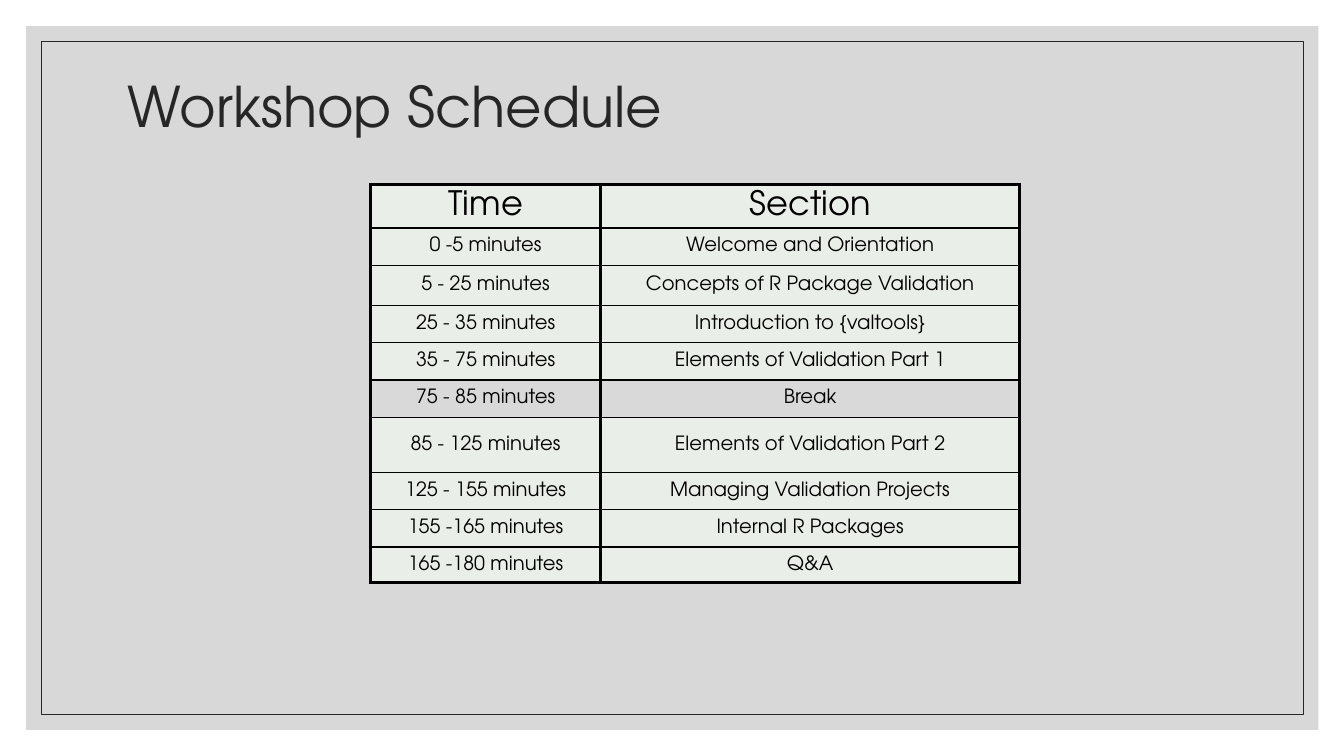
from lxml.etree import SubElement
from pptx import Presentation
from pptx.dml.color import RGBColor
from pptx.enum.shapes import MSO_SHAPE
from pptx.enum.text import MSO_ANCHOR, PP_ALIGN
from pptx.oxml.ns import qn
from pptx.util import Pt

COLORS = {
    "panel": "BFBFBF",
    "ink": "262626",
    "black": "000000",
    "row": "EAEEE8",
    "break": "D9D9D9",
}
FONT = "TeX Gyre Adventor"
THICK, THIN = 2.25, 1

SCHEDULE = [
    ("Time", "Section", 31),
    ("0 -5 minutes", "Welcome and Orientation", 26.6),
    ("5 - 25 minutes", "Concepts of R Package Validation", 28.8),
    ("25 - 35 minutes", "Introduction to {valtools}", 26.6),
    ("35 - 75 minutes", "Elements of Validation Part 1", 26.6),
    ("75 - 85 minutes", "Break", 26.6),
    ("85 - 125 minutes", "Elements of Validation Part 2", 39.6),
    ("125 - 155 minutes", "Managing Validation Projects", 26.6),
    ("155 -165 minutes", "Internal R Packages", 26.6),
    ("165 -180 minutes", "Q&A", 25.2),
]


def assign(target, values):
    for name, value in values.items():
        setattr(target, name, value)


def rgb(color):
    return RGBColor.from_string(COLORS[color])


class SlideBuilder:
    def __init__(self, page):
        self.page = page

    def text(self, frame, words, size, color, align, spacing=1.0):
        para = frame.paragraphs[0]
        assign(para, {"alignment": align, "line_spacing": spacing})
        span = para.add_run()
        span.text = words
        assign(span.font, {"name": FONT, "size": Pt(size), "bold": False})
        span.font.color.rgb = rgb(color)

    def rectangle(self, bounds, fill=None, opacity=100, line=None, width=0.5):
        box = self.page.shapes.add_shape(MSO_SHAPE.RECTANGLE, *map(Pt, bounds))
        box.shadow.inherit = False
        if fill:
            box.fill.solid()
            box.fill.fore_color.rgb = rgb(fill)
            color = box._element.spPr.find(qn("a:solidFill"))[0]
            SubElement(color, qn("a:alpha"), val=str(opacity * 1000))
        else:
            box.fill.background()
        if line:
            box.line.color.rgb = rgb(line)
            box.line.width = Pt(width)
        else:
            box.line.fill.background()

    def title(self, words, bounds):
        title = self.page.shapes.title
        self.page.shapes._spTree.append(title._element)
        assign(title, dict(zip(("left", "top", "width", "height"), map(Pt, bounds))))
        title.text_frame.vertical_anchor = MSO_ANCHOR.MIDDLE
        self.text(title.text_frame, words, 40, "ink", PP_ALIGN.LEFT, 0.9)

    def borders(self, cell, widths):
        properties = cell._tc.get_or_add_tcPr()
        for side, width in widths.items():
            line = SubElement(properties, qn(f"a:ln{side}"), w=str(Pt(width)))
            fill = SubElement(line, qn("a:solidFill"))
            SubElement(fill, qn("a:srgbClr"), val=COLORS["black"])

    def cell(self, cell, words, fill, size, padding, top, bottom):
        self.borders(cell, {"L": THICK, "R": THICK, "T": top, "B": bottom})
        cell.fill.solid()
        cell.fill.fore_color.rgb = rgb(fill)
        assign(cell, {
            "vertical_anchor": MSO_ANCHOR.MIDDLE,
            "margin_left": Pt(0.7),
            "margin_right": Pt(0.7),
            "margin_top": Pt(padding[0]),
            "margin_bottom": Pt(padding[1]),
        })
        self.text(cell.text_frame, words, size, "black", PP_ALIGN.CENTER)

    def schedule(self, rows, left, top, widths):
        height = sum(row[-1] for row in rows)
        bounds = map(Pt, (left, top, sum(widths), height))
        table = self.page.shapes.add_table(len(rows), len(widths), *bounds).table
        assign(table, {"first_row": False, "horz_banding": False})
        for column, width in zip(table.columns, widths):
            column.width = Pt(width)
        last = len(rows) - 1
        for index, (*texts, row_height) in enumerate(rows):
            table.rows[index].height = Pt(row_height)
            style = {
                "fill": "break" if "Break" in texts else "row",
                "size": 14 if index else 24,
                "padding": (4.3, 4.3) if index else (0.7, 0),
                "top": THICK if index < 2 else THIN,
                "bottom": THICK if index in (0, last) else THIN,
            }
            for column, words in enumerate(texts):
                self.cell(table.cell(index, column), words, **style)


def main():
    deck = Presentation()
    assign(deck, {"slide_width": Pt(960), "slide_height": Pt(540)})
    builder = SlideBuilder(deck.slides.add_slide(deck.slide_layouts[5]))
    builder.rectangle((18.7, 18.7, 923, 502.6), fill="panel", opacity=60)
    builder.rectangle((29.5, 29.5, 901.4, 481), line="ink")
    builder.title("Workshop Schedule", (84.2, 23.8, 792, 108))
    builder.schedule(SCHEDULE, 264.8, 131.8, (164.2, 299.5))
    deck.save("out.pptx")


if __name__ == "__main__":
    main()
